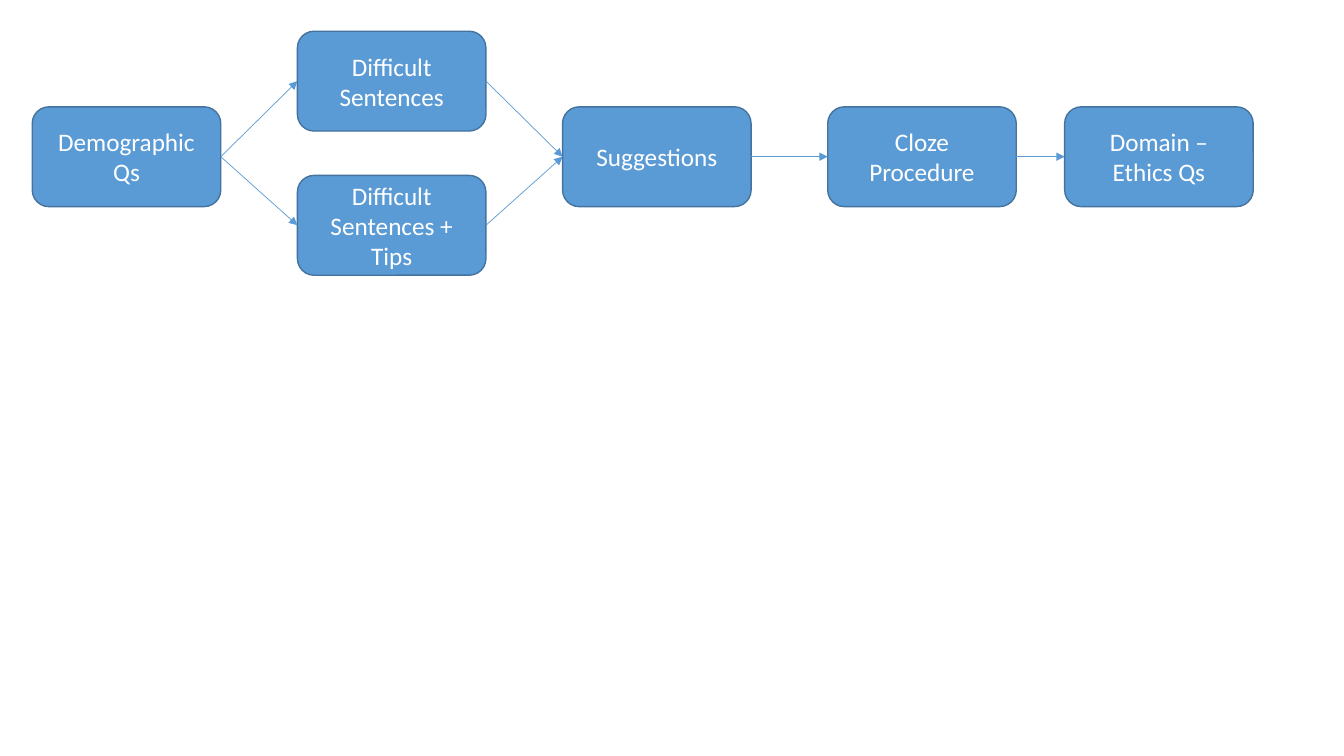
import pptx
import pptx.dml.color
import pptx.enum.shapes
import pptx.enum.text
import pptx.oxml
import pptx.oxml.ns
import pptx.util
from pptx.util import Inches


def colour(value):
    return pptx.dml.color.RGBColor.from_string(value)


class StudyFlow:
    font = "Calibri"
    text_size = 18
    fill = "5B9BD5"
    outline = "43739E"
    text_colour = "FFFFFF"
    step_width = 1.87
    step_height = 0.99

    def __init__(self, slide):
        self.slide = slide

    def step(self, label, left, top):
        step = self.slide.shapes.add_shape(
            pptx.enum.shapes.MSO_SHAPE.ROUNDED_RECTANGLE,
            Inches(left), Inches(top),
            Inches(self.step_width), Inches(self.step_height))
        step.shadow.inherit = False
        step.fill.solid()
        step.fill.fore_color.rgb = colour(self.fill)
        step.line.color.rgb = colour(self.outline)
        step.line.width = pptx.util.Pt(1)
        frame = step.text_frame
        frame.word_wrap = True
        frame.vertical_anchor = pptx.enum.text.MSO_ANCHOR.MIDDLE
        frame.text = label
        paragraph = frame.paragraphs[0]
        paragraph.alignment = pptx.enum.text.PP_ALIGN.CENTER
        font = paragraph.runs[0].font
        font.name = self.font
        font.size = pptx.util.Pt(self.text_size)
        font.color.rgb = colour(self.text_colour)
        return step

    def arrow(self, source, target):
        arrow = self.slide.shapes.add_connector(
            pptx.enum.shapes.MSO_CONNECTOR.STRAIGHT, 0, 0, 0, 0)
        arrow.begin_connect(source, 3)
        arrow.end_connect(target, 1)
        arrow.line.color.rgb = colour(self.fill)
        arrow.line.width = pptx.util.Pt(0.5)
        head = pptx.oxml.parse_xml(
            f'<a:tailEnd {pptx.oxml.ns.nsdecls("a")} type="triangle"/>')
        arrow.line._get_or_add_ln().append(head)
        properties = arrow._element.spPr
        properties.append(pptx.oxml.parse_xml(
            f'<a:effectLst {pptx.oxml.ns.nsdecls("a")}/>'))


def main():
    presentation = pptx.Presentation()
    presentation.slide_width = Inches(13.33)
    presentation.slide_height = Inches(7.5)
    flow = StudyFlow(presentation.slides.add_slide(presentation.slide_layouts[6]))

    main_row = 1.06
    first_column, column_pitch = 0.32, 2.63
    columns = [first_column + column_pitch * i for i in range(4)]

    demographics = flow.step("Demographic Qs", columns[0], main_row)
    sentences = flow.step("Difficult Sentences", columns[1], 0.31)
    sentences_tips = flow.step("Difficult Sentences + Tips", columns[1], 1.74)
    suggestions = flow.step("Suggestions", columns[2], main_row)
    cloze = flow.step("Cloze Procedure", columns[3], main_row)
    ethics = flow.step("Domain – Ethics Qs", 10.56, main_row)

    for source, target in [
        (demographics, sentences),
        (demographics, sentences_tips),
        (sentences, suggestions),
        (sentences_tips, suggestions),
        (suggestions, cloze),
        (cloze, ethics),
    ]:
        flow.arrow(source, target)

    presentation.save("out.pptx")


if __name__ == "__main__":
    main()
